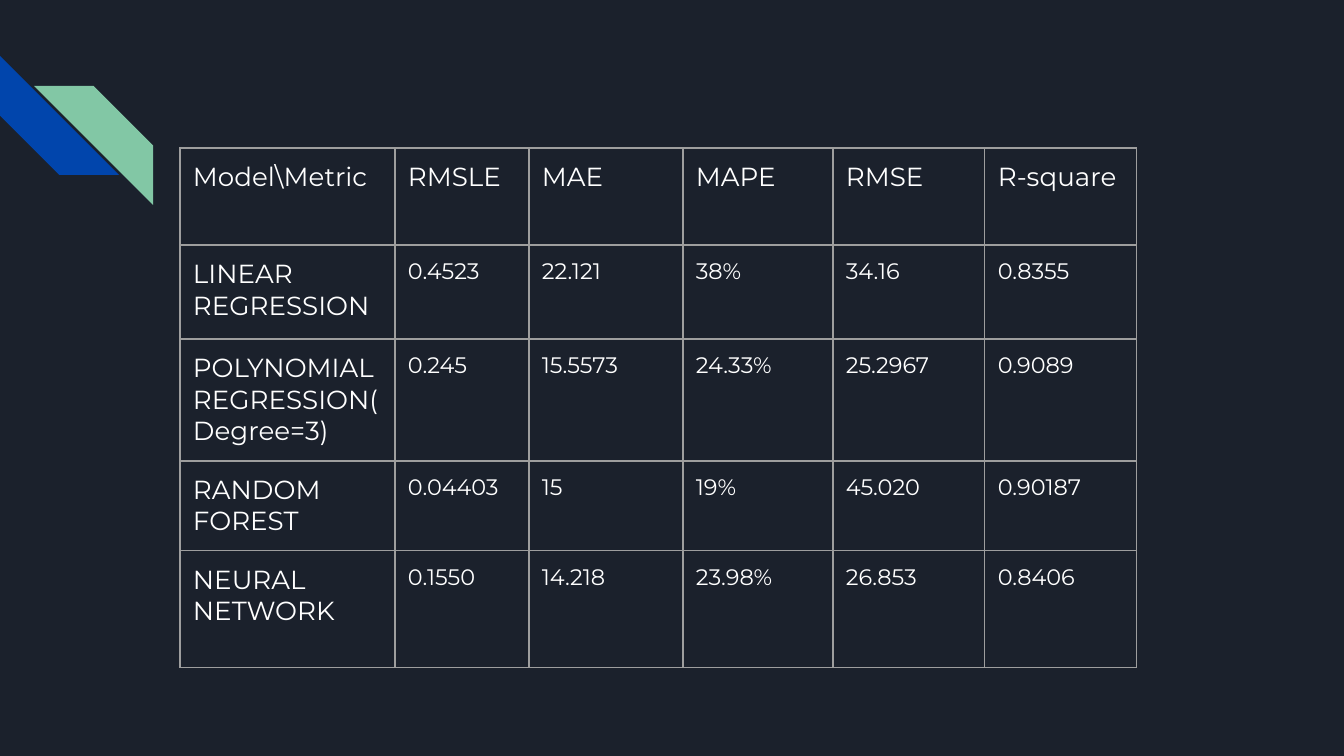
from dataclasses import dataclass

from lxml.etree import SubElement
from pptx import Presentation
from pptx.dml.color import RGBColor
from pptx.enum.shapes import MSO_SHAPE as Shape
from pptx.oxml.ns import qn
from pptx.util import Emu, Pt

EMU_PER_PX = 914400 / 134.4
NAVY, BLUE, GREEN = "1B212C", "0145AC", "82C7A5"
WHITE, GRID_GREY = "FFFFFF", "9E9E9E"
FONT = "Montserrat"
CELL_INSET = 13

COLUMN_WIDTHS = [215, 134, 154, 150, 152, 152]
ROW_HEIGHTS = [97, 94, 122, 90, 117]
METRICS = [
    ["Model\\Metric", "RMSLE", "MAE", "MAPE", "RMSE", "R-square"],
    ["LINEAR REGRESSION", "0.4523", "22.121", "38%", "34.16", "0.8355"],
    ["POLYNOMIAL REGRESSION(Degree=3)", "0.245", "15.5573", "24.33%", "25.2967", "0.9089"],
    ["RANDOM FOREST", "0.04403", "15", "19%", "45.020", "0.90187"],
    ["NEURAL NETWORK", "0.1550", "14.218", "23.98%", "26.853", "0.8406"],
]


@dataclass
class Stripe:
    left: int
    top: int
    size: int
    rotation: int
    color: str


STRIPES = [
    Stripe(0, 56, 119, 270, BLUE),
    Stripe(34, 86, 119, 90, GREEN),
]


def px(length: int) -> Emu:
    return Emu(round(length * EMU_PER_PX))


def rgb(color: str) -> RGBColor:
    return RGBColor.from_string(color)


def write_text(frame, text: str, *, size: int, color: str = WHITE, font: str = FONT) -> None:
    run = frame.paragraphs[0].add_run()
    run.text = text
    run.font.size = Pt(size)
    run.font.name = font
    run.font.color.rgb = rgb(color)


def draw_stripe(slide, stripe: Stripe) -> None:
    band = slide.shapes.add_shape(
        Shape.DIAGONAL_STRIPE, px(stripe.left), px(stripe.top), px(stripe.size), px(stripe.size))
    band.rotation = stripe.rotation
    band.shadow.inherit = False
    band.fill.solid()
    band.fill.fore_color.rgb = rgb(stripe.color)
    band.line.fill.background()


def set_borders(cell, color: str, width: float) -> None:
    properties = cell._tc.get_or_add_tcPr()
    for side in ("a:lnL", "a:lnR", "a:lnT", "a:lnB"):
        border = SubElement(properties, qn(side), w=str(Pt(width)))
        fill = SubElement(border, qn("a:solidFill"))
        SubElement(fill, qn("a:srgbClr"), val=color)


def draw_metrics_table(slide, left: int, top: int) -> None:
    table = slide.shapes.add_table(
        len(METRICS), len(METRICS[0]), px(left), px(top),
        px(sum(COLUMN_WIDTHS)), px(sum(ROW_HEIGHTS))).table
    table.first_row = table.horz_banding = False
    for column, width in zip(table.columns, COLUMN_WIDTHS):
        column.width = px(width)
    for row, height in zip(table.rows, ROW_HEIGHTS):
        row.height = px(height)

    for r, entries in enumerate(METRICS):
        for c, entry in enumerate(entries):
            cell = table.cell(r, c)
            cell.margin_left = cell.margin_right = px(CELL_INSET)
            cell.margin_top = cell.margin_bottom = px(CELL_INSET)
            set_borders(cell, GRID_GREY, 0.75)
            cell.fill.background()
            is_heading = r == 0 or c == 0
            write_text(cell.text_frame, entry, size=14 if is_heading else 12)


def main() -> None:
    deck = Presentation()
    deck.slide_width, deck.slide_height = px(1344), px(756)
    slide = deck.slides.add_slide(deck.slide_layouts[6])

    # Dark background
    slide.background.fill.solid()
    slide.background.fill.fore_color.rgb = rgb(NAVY)

    # Corner decoration
    for stripe in STRIPES:
        draw_stripe(slide, stripe)

    # Model comparison
    draw_metrics_table(slide, 180, 148)

    deck.save("out.pptx")


if __name__ == "__main__":
    main()
